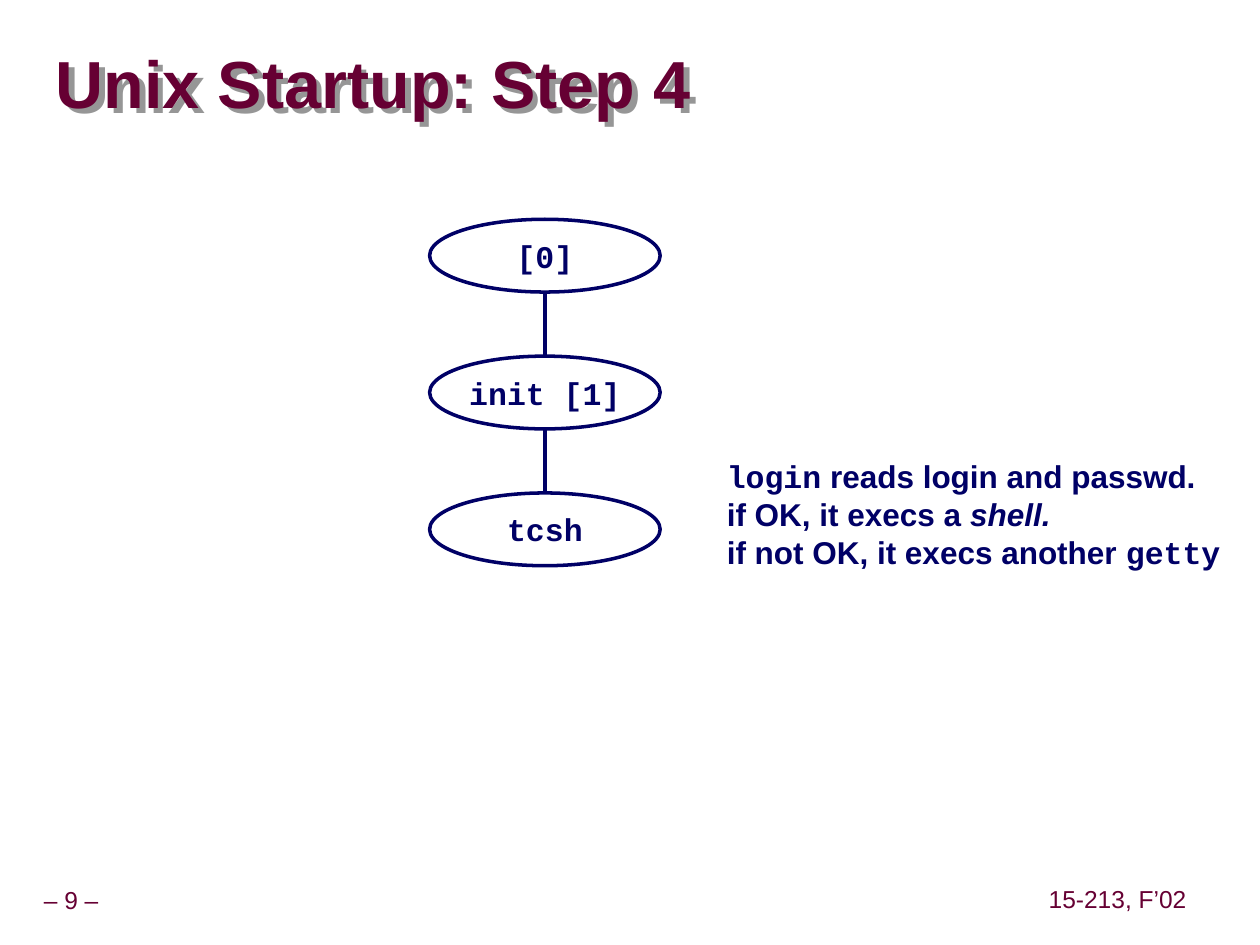
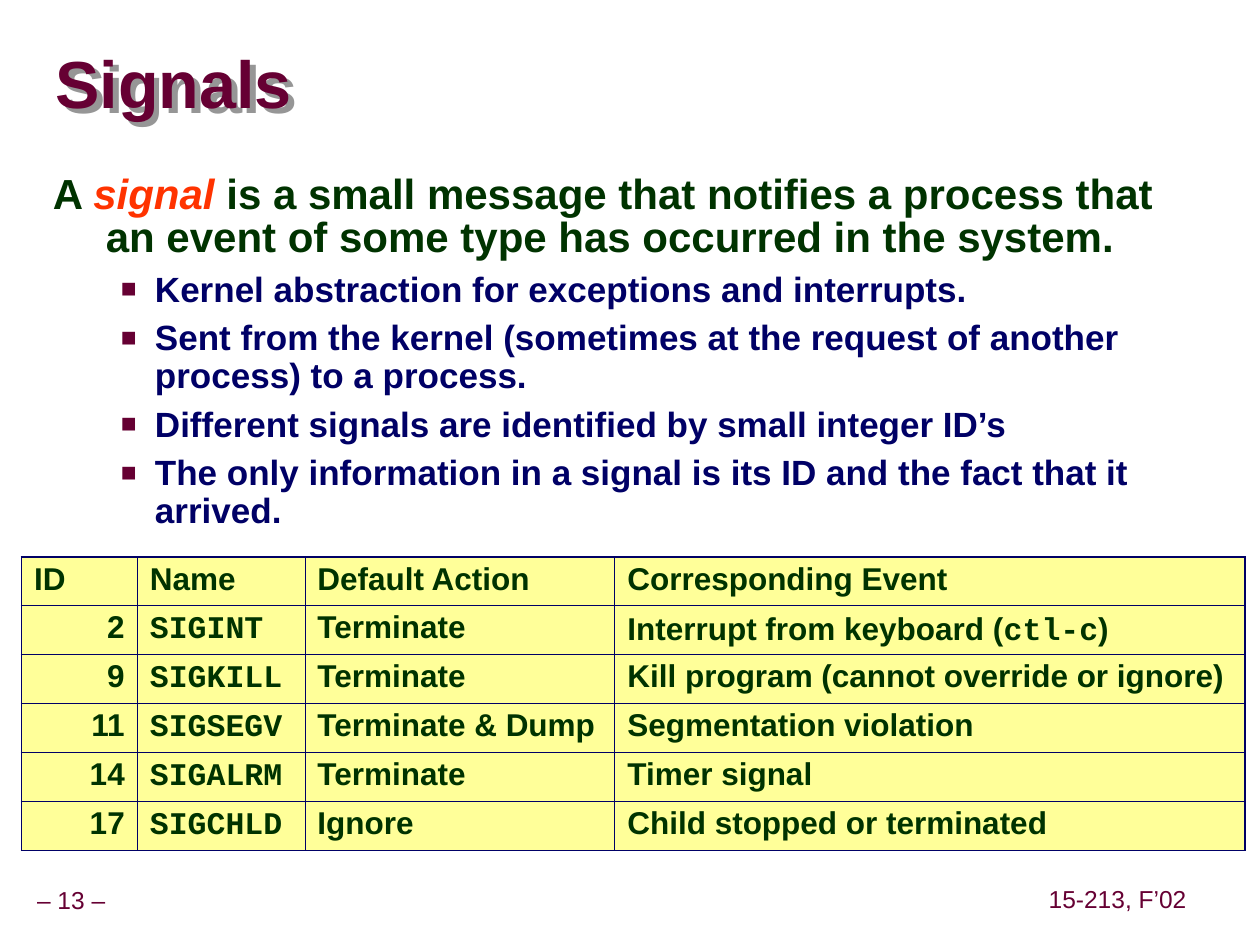
from collections import namedtuple

from lxml import etree
from pptx import Presentation
from pptx.dml import color
from pptx.enum import shapes, text
from pptx.oxml import ns
from pptx import util as u

COLUMNS, ROWS = 100, 75
SLIDE_WIDTH, SLIDE_HEIGHT = u.Inches(10), u.Inches(7.5)
SANS, MONO = "Arial", "Courier New"
MAROON, NAVY, GREEN, RED = "660033", "000066", "003300", "FF3300"
WHITE, YELLOW, GREY = "FFFFFF", "FFFF99", "969696"
COURSE = "15-213, F’02"

Box = namedtuple("Box", "left top width height")
TITLE_BOX = Box(4.4, 2.7, 95.3, 8.5)
PAGE_BOX = Box(-0.9, 70, 13.1, 3.1)
COURSE_BOX = Box(82.7, 69.9, 12, 3.1)


def rgb(value):
    return color.RGBColor.from_string(value)


def measure(box):
    return (
        round(box.left * SLIDE_WIDTH / COLUMNS),
        round(box.top * SLIDE_HEIGHT / ROWS),
        round(box.width * SLIDE_WIDTH / COLUMNS),
        round(box.height * SLIDE_HEIGHT / ROWS),
    )


def place(shape, box):
    shape.left, shape.top, shape.width, shape.height = measure(box)


def add_element(parent, tag, **attributes):
    return etree.SubElement(parent, ns.qn(tag), attributes)


def set_font(font, size=None, fill=None, name=None, bold=None, italic=None):
    if size:
        font.size = u.Pt(size)
    if fill:
        font.color.rgb = rgb(fill)
    if name:
        font.name = name
    if bold is not None:
        font.bold = bold
    if italic is not None:
        font.italic = italic


def write(paragraph, content, size, fill, name=SANS, bold=True, align=text.PP_ALIGN.LEFT, spacing=1.0):
    paragraph.alignment = align
    paragraph.line_spacing = spacing
    set_font(paragraph.font, size, fill, name, bold)
    for part in [content] if isinstance(content, str) else content:
        words, changes = (part, {}) if isinstance(part, str) else part
        run = paragraph.add_run()
        run.text = words
        set_font(run.font, **changes)


def set_frame(frame, side=0.1, edge=0.05, anchor=text.MSO_ANCHOR.TOP, wrap=True):
    frame.margin_left = frame.margin_right = u.Inches(side)
    frame.margin_top = frame.margin_bottom = u.Inches(edge)
    frame.vertical_anchor = anchor
    frame.word_wrap = wrap
    frame.auto_size = text.MSO_AUTO_SIZE.NONE


def add_text_shadow(shape):
    effects = add_element(shape.element.spPr, "a:effectLst")
    shadow = add_element(effects, "a:outerShdw", dist=str(u.Pt(4.5)), dir="2700000", algn="ctr", rotWithShape="0")
    add_element(shadow, "a:srgbClr", val=GREY)


def add_footer(slide, box, words):
    footer = slide.shapes.add_textbox(*measure(box))
    set_frame(footer.text_frame, side=0.05, anchor=text.MSO_ANCHOR.MIDDLE, wrap=False)
    write(footer.text_frame.paragraphs[0], words, 14, MAROON, bold=False,
          align=text.PP_ALIGN.CENTER, spacing=0.9)


def add_slide(presentation, layout, title, page):
    slide = presentation.slides.add_slide(presentation.slide_layouts.get_by_name(layout))
    add_footer(slide, PAGE_BOX, f"– {page} –")
    add_footer(slide, COURSE_BOX, COURSE)
    heading = slide.shapes.title
    place(heading, TITLE_BOX)
    set_frame(heading.text_frame, side=0, edge=0, anchor=text.MSO_ANCHOR.MIDDLE)
    write(heading.text_frame.paragraphs[0], title, 38, MAROON, spacing=0.87)
    add_text_shadow(heading)
    return slide


def add_process(slide, box, name):
    process = slide.shapes.add_shape(shapes.MSO_SHAPE.OVAL, *measure(box))
    process.shadow.inherit = False
    process.fill.solid()
    process.fill.fore_color.rgb = rgb(WHITE)
    process.line.color.rgb = rgb(NAVY)
    process.line.width = u.Pt(2)
    set_frame(process.text_frame, anchor=text.MSO_ANCHOR.MIDDLE, wrap=False)
    write(process.text_frame.paragraphs[0], name, 18, NAVY, MONO, align=text.PP_ALIGN.CENTER)
    return process


def link_processes(slide, parent, child):
    center = parent.left + parent.width // 2
    link = slide.shapes.add_connector(
        shapes.MSO_CONNECTOR.STRAIGHT, center, parent.top + parent.height, center, child.top)
    link.line.color.rgb = rgb(NAVY)
    link.line.width = u.Pt(2)
    add_element(link.element.spPr, "a:effectLst")


def add_process_chain(slide, box, names):
    height = box.height * 0.21
    step = (box.height - height) / (len(names) - 1)
    processes = [
        add_process(slide, Box(box.left, box.top + index * step, box.width, height), name)
        for index, name in enumerate(names)
    ]
    for parent, child in zip(processes, processes[1:]):
        link_processes(slide, parent, child)


def add_note(slide, box, lines):
    frame = slide.shapes.add_textbox(*measure(box)).text_frame
    set_frame(frame)
    for index, line in enumerate(lines):
        paragraph = frame.add_paragraph() if index else frame.paragraphs[0]
        write(paragraph, line, 18, NAVY)


def set_indent(paragraph, margin, hanging):
    properties = paragraph._p.get_or_add_pPr()
    properties.set("marL", str(u.Inches(margin)))
    properties.set("indent", str(-u.Inches(hanging)))
    return properties


def add_square_bullet(properties):
    add_element(add_element(properties, "a:buClr"), "a:srgbClr", val=MAROON)
    add_element(properties, "a:buSzPct", val="75000")
    add_element(properties, "a:buFont", typeface=SANS)
    add_element(properties, "a:buChar", char="■")


def fill_body(slide, box, statement, points):
    body = slide.placeholders[1]
    place(body, box)
    frame = body.text_frame
    set_frame(frame)
    lead = frame.paragraphs[0]
    add_element(set_indent(lead, 0.42, 0.42), "a:buNone")
    lead.space_before = u.Pt(0)
    write(lead, statement, 24, GREEN, spacing=0.85)
    for point in points:
        paragraph = frame.add_paragraph()
        paragraph.level = 1
        add_square_bullet(set_indent(paragraph, 0.81, 0.27))
        paragraph.space_before = u.Pt(6.2)
        write(paragraph, point, 20, NAVY, spacing=0.9)


def set_borders(cell, outer_edges):
    properties = cell._tc.get_or_add_tcPr()
    for edge in "LRTB":
        width = u.Pt(1.08 if edge in outer_edges else 0.45)
        line = add_element(properties, f"a:ln{edge}", w=str(width))
        add_element(add_element(line, "a:solidFill"), "a:srgbClr", val=NAVY)


def add_signal_table(slide, box, column_widths, rows):
    last_row, last_column = len(rows) - 1, len(column_widths) - 1
    table = slide.shapes.add_table(len(rows), len(column_widths), *measure(box)).table
    table.first_row = table.horz_banding = False
    for column, width in zip(table.columns, column_widths):
        column.width = round(width * SLIDE_WIDTH / COLUMNS)
    for row_index, row in enumerate(rows):
        for column_index, content in enumerate(row):
            cell = table.cell(row_index, column_index)
            edges = {"T": row_index == 0, "B": row_index == last_row,
                     "L": column_index == 0, "R": column_index == last_column}
            set_borders(cell, [edge for edge, outer in edges.items() if outer])
            cell.fill.solid()
            cell.fill.fore_color.rgb = rgb(YELLOW)
            is_id = row_index > 0 and column_index == 0
            is_name = row_index > 0 and column_index == 1
            write(cell.text_frame.paragraphs[0], content, 18, GREEN,
                  MONO if is_name else SANS,
                  align=text.PP_ALIGN.RIGHT if is_id else text.PP_ALIGN.LEFT, spacing=0.95)


def build_startup_slide(presentation):
    slide = add_slide(presentation, "Title Only", "Unix Startup: Step 4", 9)
    add_process_chain(slide, Box(34.1, 17.4, 18.3, 27.5), ["[0]", "init [1]", "tcsh"])
    add_note(slide, Box(56.7, 35.8, 43.3, 10), [
        [("login", {"name": MONO}), " reads login and passwd."],
        ["if OK, it execs a ", ("shell.", {"italic": True})],
        ["if not OK, it execs another ", ("getty", {"name": MONO})],
    ])


def build_signals_slide(presentation):
    slide = add_slide(presentation, "Title and Content", "Signals", 13)
    fill_body(slide, Box(3.2, 13.4, 90.9, 30), [
        "A ",
        ("signal", {"fill": RED, "italic": True}),
        " is a small message that notifies a process that an event of some type has occurred in the system.",
    ], [
        "Kernel abstraction for exceptions and interrupts.",
        "Sent from the kernel (sometimes at the request of another process) to a process.",
        "Different signals are identified by small integer ID’s",
        "The only information in a signal is its ID and the fact that it arrived.",
    ])
    add_signal_table(slide, Box(1.7, 44.2, 97.1, 23.3), [9.2, 13.3, 24.6, 50], [
        ["ID", "Name", "Default Action", "Corresponding Event"],
        ["2", "SIGINT", "Terminate", ["Interrupt from keyboard (", ("ctl-c", {"name": MONO}), ")"]],
        ["9", "SIGKILL", "Terminate", "Kill program (cannot override or ignore)"],
        ["11", "SIGSEGV", "Terminate & Dump", "Segmentation violation"],
        ["14", "SIGALRM", "Terminate", "Timer signal"],
        ["17", "SIGCHLD", "Ignore", "Child stopped or terminated"],
    ])


def main():
    presentation = Presentation()
    presentation.slide_width, presentation.slide_height = SLIDE_WIDTH, SLIDE_HEIGHT
    build_startup_slide(presentation)
    build_signals_slide(presentation)
    presentation.save("out.pptx")


if __name__ == "__main__":
    main()
